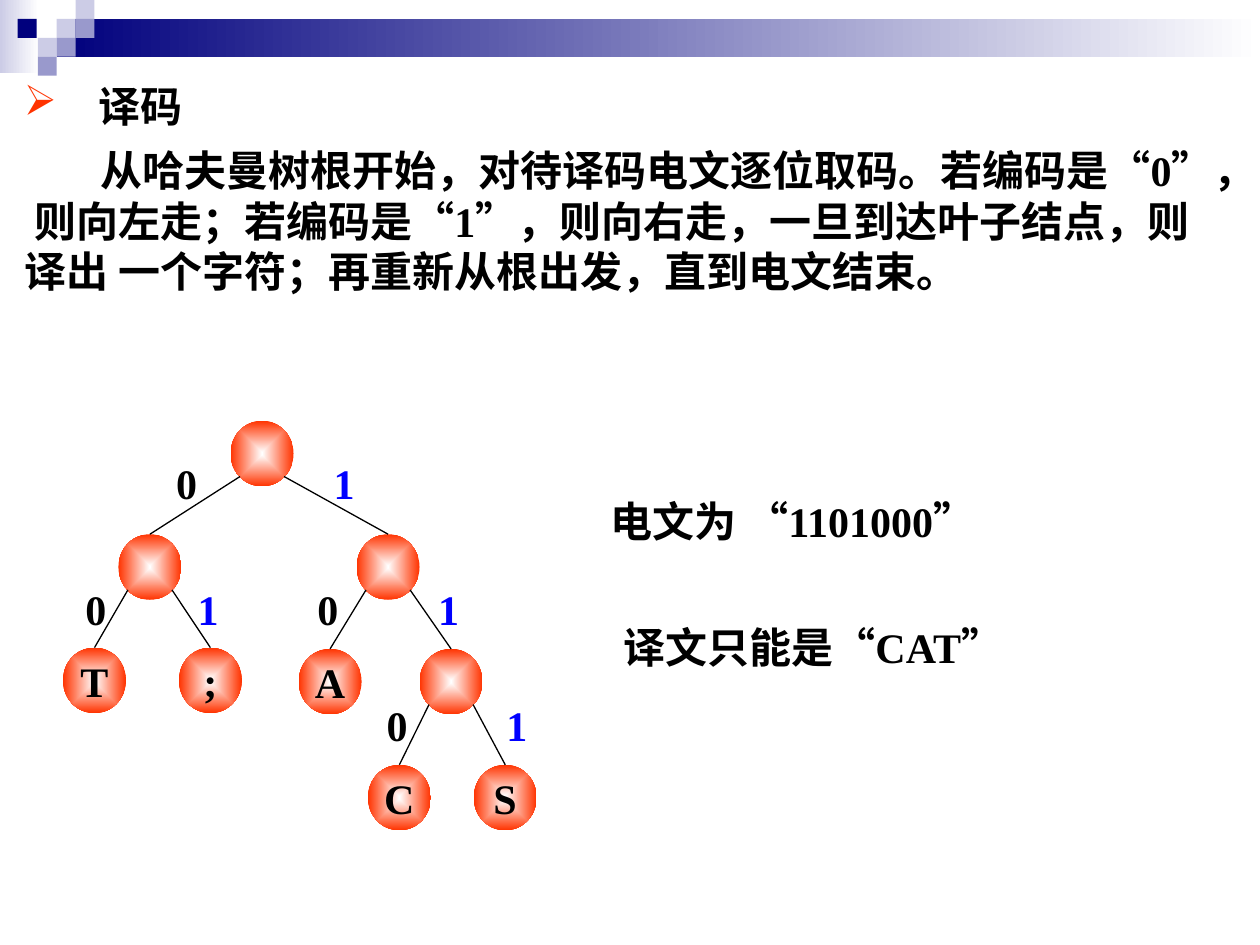
from dataclasses import dataclass

from lxml.etree import SubElement
from pptx import Presentation
from pptx.dml.color import RGBColor as RGB
from pptx.enum.shapes import MSO_CONNECTOR as LINE, MSO_SHAPE as SHAPE
from pptx.enum.text import MSO_ANCHOR as ANCHOR, PP_ALIGN as ALIGN
from pptx.oxml.ns import qn
from pptx.util import Inches, Pt

COLUMNS, ROWS = 100, 75
WIDTH, HEIGHT = Inches(10), Inches(7.5)


@dataclass(frozen=True)
class Theme:
    """Colours and type sizes of the slide."""
    font: str = "Times New Roman"
    size: float = 24
    line: float = 0.75
    ink: str = "000000"
    one: str = "0000FF"
    node: str = "FF3300"
    white: str = "FFFFFF"
    navy: str = "00007D"
    mid: str = "9999CC"
    pale: str = "CCCCE6"


THEME = Theme()
NODE_W, NODE_H = 5, 5.2

SQUARES = [
    (4.5, 1.5, THEME.pale), (6, 0, THEME.pale), (6, 1.5, THEME.mid),
    (3, 3, THEME.pale), (1.4, 1.5, THEME.navy), (4.5, 3, THEME.mid),
    (3, 4.5, THEME.mid),
]
NODES = {
    "root": (18.3, 33.4, ""), "left": (9.4, 42.4, ""),
    "right": (28.3, 42.4, ""), "inner": (33.3, 51.5, ""),
    "T": (5, 51.4, "T"), "semicolon": (14.2, 51.4, ";"),
    "A": (23.7, 51.5, "A"), "C": (29.2, 60.7, "C"), "S": (37.6, 60.7, "S"),
}
EDGES = [
    ("root", "left", "0", 13, 35.8), ("root", "right", "1", 25.5, 35.8),
    ("left", "T", "0", 5.8, 45.8), ("left", "semicolon", "1", 14.7, 45.8),
    ("right", "A", "0", 24.2, 45.8), ("right", "inner", "1", 33.8, 45.8),
    ("inner", "C", "0", 29.7, 55), ("inner", "S", "1", 39.2, 55),
]
RULE = ("从哈夫曼树根开始，对待译码电文逐位取码。若编码是“0”， 则向左走；"
        "若编码是“1”，则向右走，一旦到达叶子结点，则译出 一个字符；"
        "再重新从根出发，直到电文结束。")


def x(columns):
    """Turn grid columns into a length."""
    return round(WIDTH * columns / COLUMNS)


def y(rows):
    """Turn grid rows into a length."""
    return round(HEIGHT * rows / ROWS)


def box(left, top, width, height):
    """Turn a grid cell range into a position and size."""
    return x(left), y(top), x(width), y(height)


def apply(target, values):
    """Set each named value on the target."""
    for name, value in values.items():
        setattr(target, name, value)


def write(frame, text, color=THEME.ink, **paragraph_format):
    """Write one bold paragraph and return it."""
    paragraph = frame.paragraphs[0]
    apply(paragraph, paragraph_format)
    run = paragraph.add_run()
    run.text = text
    apply(run.font, {"name": THEME.font, "size": Pt(THEME.size), "bold": True})
    run.font.color.rgb = RGB.from_string(color)
    return paragraph


def add_text(slide, cell, text, wrap=False, anchor=ANCHOR.TOP, **style):
    """Add a text box and return its paragraph."""
    frame = slide.shapes.add_textbox(*box(*cell)).text_frame
    apply(frame, {"word_wrap": wrap, "vertical_anchor": anchor})
    return write(frame, text, **style)


def indent(paragraph, margin, first):
    """Set the left margin and first-line indent in columns."""
    properties = paragraph._p.get_or_add_pPr()
    properties.set("marL", str(x(margin)))
    properties.set("indent", str(x(first)))
    return properties


def add_bullet(properties, mark):
    """Put a coloured bullet on a paragraph."""
    color = SubElement(properties, qn("a:buClr"))
    SubElement(color, qn("a:srgbClr"), val=THEME.node)
    SubElement(properties, qn("a:buChar"), char=mark)


def add_filled(slide, kind, cell, *colors):
    """Add a shape with one plain colour or a two-colour gradient."""
    shape = slide.shapes.add_shape(kind, *box(*cell))
    shape.shadow.inherit = False
    shape.line.fill.background()
    if len(colors) == 1:
        shape.fill.solid()
        shape.fill.fore_color.rgb = RGB.from_string(colors[0])
        return shape
    shape.fill.gradient()
    shape.fill.gradient_angle = 0
    for stop, color in zip(shape.fill.gradient_stops, colors):
        stop.color.rgb = RGB.from_string(color)
    return shape


def add_header(slide):
    """Draw the gradient band and its squares."""
    for cell, color in (((0, 0, 3.1, 5.8), THEME.pale),
                        ((4.5, 1.5, 95.5, 3), THEME.navy)):
        add_filled(slide, SHAPE.RECTANGLE, cell, color, THEME.white)
    for left, top, color in SQUARES:
        add_filled(slide, SHAPE.RECTANGLE, (left, top, 1.5, 1.5), color)


def add_node(slide, left, top, letter):
    """Add a tree node that is lit from its centre."""
    node = add_filled(slide, SHAPE.OVAL, (left, top, NODE_W, NODE_H),
                      THEME.white, THEME.node)
    gradient = node._element.spPr.find(qn("a:gradFill"))
    gradient.remove(gradient.find(qn("a:lin")))
    centre = SubElement(gradient, qn("a:path"), path="rect")
    SubElement(centre, qn("a:fillToRect"),
               dict.fromkeys("ltrb", "50000"))
    if letter:
        frame = node.text_frame
        apply(frame, {"word_wrap": False, "vertical_anchor": ANCHOR.MIDDLE})
        apply(frame, dict.fromkeys(
            ("margin_left", "margin_top", "margin_right", "margin_bottom"), 0))
        write(frame, letter, alignment=ALIGN.CENTER)
    return node


def add_branch(slide, parent, child, bit):
    """Join a parent's lower left or right to the top of its child."""
    reach = 0.15 if bit == "0" else 0.85
    start = (parent.left + round(parent.width * reach),
             parent.top + round(parent.height * 0.85))
    branch = slide.shapes.add_connector(LINE.STRAIGHT, *start, *start)
    branch.end_connect(child, 0)
    branch.line.width = Pt(THEME.line)
    branch.line.color.rgb = RGB.from_string(THEME.ink)
    SubElement(branch._element.spPr, qn("a:effectLst"))


def add_tree(slide):
    """Draw the Huffman tree with a bit on each branch."""
    for _, _, bit, left, top in EDGES:
        add_text(slide, (left, top, 3.6, 5), bit, anchor=ANCHOR.MIDDLE,
                 color=THEME.ink if bit == "0" else THEME.one,
                 alignment=ALIGN.CENTER)
    nodes = {name: add_node(slide, *node) for name, node in NODES.items()}
    for parent, child, bit, _, _ in EDGES:
        add_branch(slide, nodes[parent], nodes[child], bit)


def main():
    """Build and save the slide."""
    deck = Presentation()
    apply(deck, {"slide_width": WIDTH, "slide_height": HEIGHT})
    slide = deck.slides.add_slide(deck.slide_layouts[6])
    add_header(slide)
    heading = add_text(slide, (0.9, 5.9, 15.5, 5), "译码")
    add_bullet(indent(heading, 5.9, -5.9), "➢")
    indent(add_text(slide, (1, 11, 96.4, 17), RULE, wrap=True), 0, 6)
    add_tree(slide)
    add_text(slide, (47.5, 38.8, 32.5, 5), "电文为 “1101000”")
    add_text(slide, (48.5, 48.8, 33, 5), "译文只能是“CAT”", wrap=True)
    deck.save("out.pptx")


if __name__ == "__main__":
    main()
